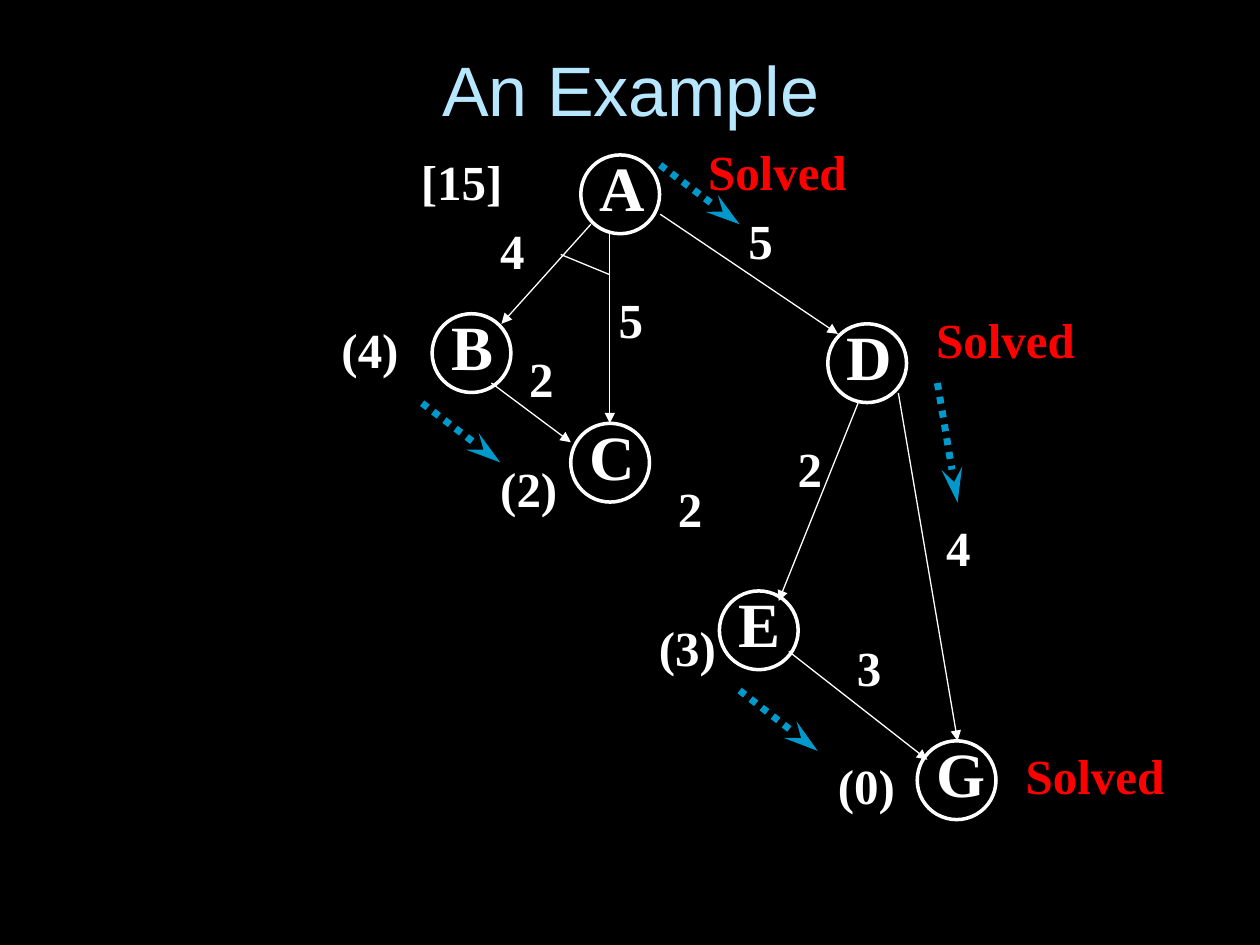
from lxml import etree
from pptx import Presentation
from pptx.dml.color import RGBColor
from pptx.enum.dml import MSO_LINE
from pptx.enum.shapes import MSO_CONNECTOR, MSO_SHAPE
from pptx.enum.text import MSO_ANCHOR, MSO_AUTO_SIZE, PP_ALIGN
from pptx.oxml.ns import qn
from pptx.util import Inches, Pt

OVAL = MSO_SHAPE.OVAL
STRAIGHT = MSO_CONNECTOR.STRAIGHT
DOTS = MSO_LINE.ROUND_DOT
MIDDLE = MSO_ANCHOR.MIDDLE
CENTER = PP_ALIGN.CENTER
GROW = MSO_AUTO_SIZE.SHAPE_TO_FIT_TEXT

BLACK, WHITE, RED = "000000", "FFFFFF", "FF0000"
SKY, BLUE = "B7E7FF", "0099CC"

NODES = [
    ("A", 4.61, 1.23, 0.5), ("B", 3.43, 2.49, 0.47), ("C", 4.53, 3.36, 0.5),
    ("D", 6.57, 2.57, 0.5), ("E", 5.71, 4.69, 0.47), ("G", 7.28, 5.88, 0.53),
]
EDGES = [
    (4.69, 1.78, 3.98, 2.57), (4.84, 1.86, 4.84, 3.36),
    (3.9, 3.04, 4.53, 3.51), (5.24, 1.7, 6.65, 2.65),
    (6.81, 3.2, 6.18, 4.77), (7.13, 3.12, 7.6, 5.88),
    (6.26, 5.17, 7.36, 6.03),
]
AND_ARC = (4.45, 2.02, 4.84, 2.18)
MARKERS = [
    (5.24, 1.31, 5.87, 1.78), (7.44, 3.04, 7.6, 3.99),
    (3.35, 3.2, 3.97, 3.67), (5.87, 5.48, 6.49, 5.96),
]
ESTIMATES = [
    ("(4)", 2.64, 2.57), ("(2)", 3.9, 3.67), ("(3)", 5.16, 4.93),
    ("(0)", 6.58, 6.03),
]
COSTS = [
    ("4", 3.9, 1.78), ("5", 5.87, 1.7), ("5", 4.84, 2.33), ("2", 4.13, 2.8),
    ("2", 5.31, 3.83), ("2", 6.26, 3.51), ("4", 7.44, 4.14), ("3", 6.73, 5.09),
]
SOLVED = [(5.55, 1.15), (7.36, 2.49), (8.07, 5.95)]


def rgb(value):
    return RGBColor.from_string(value)


class GraphSlide:
    """Draws the parts of a search graph on one slide."""

    font = "Times New Roman"
    title_font = "Arial"
    node_size = 0.625

    def __init__(self, prs):
        self.s = prs.slides.add_slide(prs.slide_layouts[6])
        fill = self.s.background.fill
        fill.solid()
        fill.fore_color.rgb = rgb(BLACK)

    def box(self, x, y, w, h):
        return self.s.shapes.add_textbox(Inches(x), Inches(y), Inches(w), Inches(h))

    def run(self, p, text, font, size, color, bold):
        r = p.add_run()
        r.text = text
        r.font.name = font
        r.font.size = Pt(size)
        r.font.bold = bold
        r.font.color.rgb = rgb(color)

    def title(self, text, x, y, w, h):
        tf = self.box(x, y, w, h).text_frame
        tf.word_wrap = True
        tf.vertical_anchor = MIDDLE
        p = tf.paragraphs[0]
        p.alignment = CENTER
        self.run(p, text, self.title_font, 40, SKY, False)

    def label(self, text, x, y, w, h=0.47, size=28, color=WHITE):
        tf = self.box(x, y, w, h).text_frame
        tf.word_wrap = False
        tf.auto_size = GROW
        tf.margin_left, tf.margin_right = Inches(0.07), 0
        tf.margin_top = tf.margin_bottom = Inches(0.03)
        p = tf.paragraphs[0]
        p.line_spacing = 0.88
        self.run(p, text, self.font, size, color, True)

    def node(self, name, x, y, w):
        size = Inches(self.node_size)
        sp = self.s.shapes.add_shape(OVAL, Inches(x), Inches(y), size, size)
        sp.shadow.inherit = False
        sp.fill.background()
        sp.line.color.rgb = rgb(WHITE)
        sp.line.width = Pt(2)
        self.label(name, x + 0.08, y, w, 0.58, 36)

    def line(self, ends, color=WHITE, width=0.75, head=None, length="med", dash=None):
        c = self.s.shapes.add_connector(STRAIGHT, *(Inches(v) for v in ends))
        c.line.color.rgb = rgb(color)
        c.line.width = Pt(width)
        if dash:
            c.line.dash_style = dash
        sp_pr = c._element.spPr
        if head:
            ln = sp_pr.find(qn("a:ln"))
            etree.SubElement(ln, qn("a:tailEnd"), type=head, w="med", len=length)
        etree.SubElement(sp_pr, qn("a:effectLst"))


def main():
    prs = Presentation()
    prs.slide_width, prs.slide_height = Inches(10), Inches(7.5)
    g = GraphSlide(prs)
    g.title("An Example", 0.35, 0.29, 9.31, 0.82)
    for node in NODES:
        g.node(*node)
    for ends in EDGES:
        g.line(ends, head="triangle")
    g.line(AND_ARC)
    for ends in MARKERS:
        g.line(ends, BLUE, 4, "stealth", "lg", DOTS)
    g.label("[15]", 3.27, 1.23, 0.79)
    for text, x, y in ESTIMATES:
        g.label(text, x, y, 0.59)
    for text, x, y in COSTS:
        g.label(text, x, y, 0.33)
    for x, y in SOLVED:
        g.label("Solved", x, y, 1.24, color=RED)
    prs.save("out.pptx")


if __name__ == "__main__":
    main()
